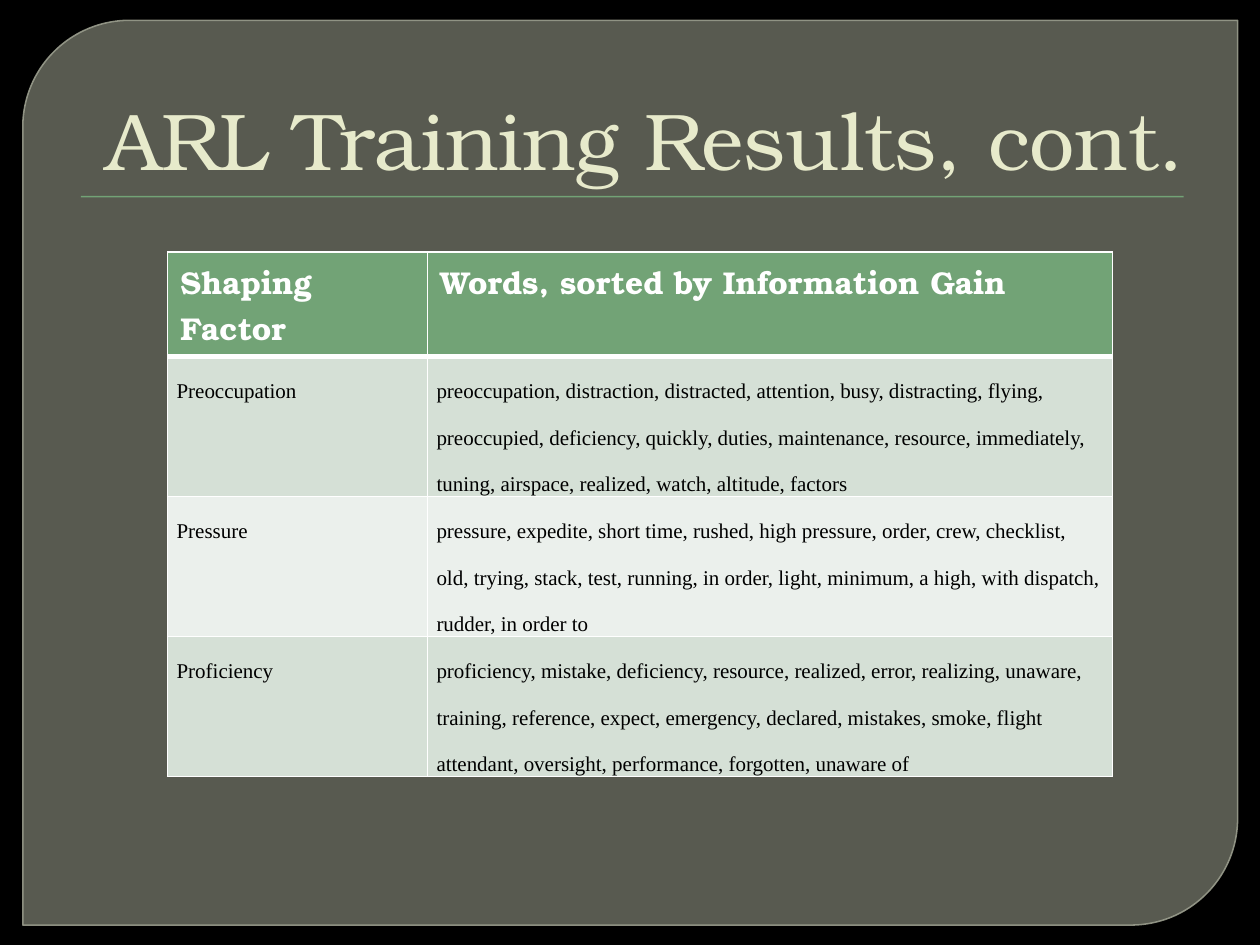
"""Build the slide with a table of shaping factors and their words."""
from lxml import etree
from pptx import Presentation
from pptx import util as u
from pptx.dml import color
from pptx.enum import shapes, text
from pptx.oxml import ns


def paint(fill, tint, alpha=100):
    fill.solid()
    fill.fore_color.rgb = color.RGBColor.from_string(tint)
    if alpha < 100:
        node = fill._xPr.find(".//" + ns.qn("a:srgbClr"))
        etree.SubElement(node, ns.qn("a:alpha"), val=str(alpha * 1000))


def style(para, tint, **form):
    for key, val in form.items():
        setattr(para.font, key, val)
    paint(para.font.fill, tint)


deck = Presentation()
deck.slide_width, deck.slide_height = u.Cm(25.4), u.Cm(19.05)
slide = deck.slides.add_slide(deck.slide_layouts[5])
paint(slide.background.fill, "000000")

kinds = shapes.MSO_SHAPE
panel = slide.shapes.add_shape(
    kinds.ROUND_2_DIAG_RECTANGLE, u.Cm(0.46), u.Cm(0.41), u.Cm(24.49), u.Cm(18.24))
panel.adjustments[0], panel.adjustments[1] = 0.118, 0
paint(panel.fill, "888B7B", 65)
paint(panel.line.fill, "9DA090", 88)
panel.line.width = u.Pt(0.87)
rule = slide.shapes.add_shape(
    kinds.RECTANGLE, u.Cm(1.63), u.Cm(3.95), u.Cm(22.23), u.Cm(0.03))
paint(rule.fill, "72A376")
rule.line.fill.background()
for shape in (panel, rule):
    shape.shadow.inherit = False

title = slide.shapes.title
slide.shapes._spTree.append(title._element)
place = {"left": 1.27, "top": 0.71, "width": 22.86, "height": 3.18}
for key, val in place.items():
    setattr(title, key, u.Cm(val))
frame = title.text_frame
frame.text = "ARL Training Results, cont."
frame.auto_size = text.MSO_AUTO_SIZE.NONE
frame.vertical_anchor = text.MSO_ANCHOR.BOTTOM
head = frame.paragraphs[0]
head.alignment = text.PP_ALIGN.RIGHT
style(head, "E7EACB", name="TeX Gyre Bonum", size=u.Pt(46))

rows = [
    ("Shaping Factor", "Words, sorted by Information Gain"),
    ("Preoccupation",
     "preoccupation, distraction, distracted, attention, busy, distracting, "
     "flying, preoccupied, deficiency, quickly, duties, maintenance, resource, "
     "immediately, tuning, airspace, realized, watch, altitude, factors"),
    ("Pressure",
     "pressure, expedite, short time, rushed, high pressure, order, crew, "
     "checklist, old, trying, stack, test, running, in order, light, minimum, "
     "a high, with dispatch, rudder, in order to"),
    ("Proficiency",
     "proficiency, mistake, deficiency, resource, realized, error, realizing, "
     "unaware, training, reference, expect, emergency, declared, mistakes, "
     "smoke, flight attendant, oversight, performance, forgotten, unaware of"),
]
table = slide.shapes.add_table(
    len(rows), 2, u.Cm(3.38), u.Cm(5.08), u.Cm(19.05), u.Cm(10.59)).table
for col, width in zip(table.columns, (5.24, 13.81)):
    col.width = u.Cm(width)

inset = {"margin_left": 0.18, "margin_right": 0.18, "margin_top": 0, "margin_bottom": 0}
bands = ("EBF0EC", "D5E0D6")
for r, words in enumerate(rows):
    table.rows[r].height = u.Cm(2.82 if r else 2.1)
    for c, word in enumerate(words):
        cell = table.cell(r, c)
        cell.text = word
        para = cell.text_frame.paragraphs[0]
        if r:
            for key, val in inset.items():
                setattr(cell, key, u.Cm(val))
            para.line_spacing = 2.0
            style(para, "000000", name="Times New Roman", size=u.Pt(12), bold=False)
        else:
            style(para, "FFFFFF", name="TeX Gyre Bonum", size=u.Pt(18), bold=True)
        props = cell._tc.get_or_add_tcPr()
        for side in "LRTB":
            thick = (r, side) in ((0, "B"), (1, "T"))
            edge = etree.SubElement(
                props, ns.qn("a:ln" + side), w=str(u.Pt(3 if thick else 1)))
            solid = etree.SubElement(edge, ns.qn("a:solidFill"))
            etree.SubElement(solid, ns.qn("a:srgbClr"), val="FFFFFF")
        paint(cell.fill, bands[r % 2] if r else "72A376")

deck.save("out.pptx")
